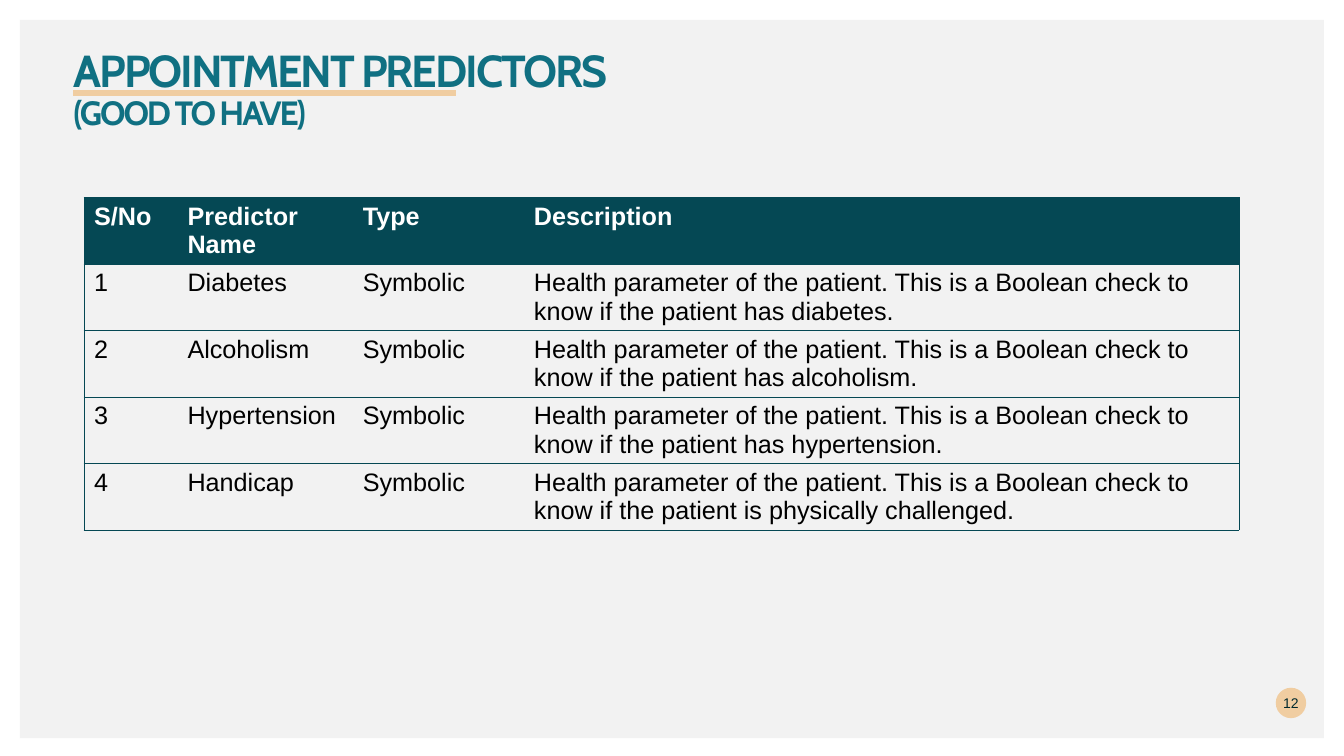
from copy import deepcopy
from lxml.etree import SubElement as Sub
from pptx import Presentation
from pptx.dml.color import RGBColor as RGB
from pptx.enum.shapes import MSO_CONNECTOR as Conn, MSO_SHAPE as Shape
from pptx.enum.text import MSO_ANCHOR as Anchor, MSO_AUTO_SIZE as Fit, PP_ALIGN as Align
from pptx.oxml.ns import qn
from pptx.util import Pt

PX = 9525
HUE = {"panel": "F2F2F2", "title": "107082", "sand": "F0CDA1", "dark": "054854",
       "head": "FFFFFF", "body": "000000", "page": "00292E"}
HEADS = ("S/No", "Predictor Name", "Type", "Description")
ITEMS = (("Diabetes", "has diabetes"), ("Alcoholism", "has alcoholism"),
         ("Hypertension", "has hypertension"), ("Handicap", "is physically challenged"))
INTRO = "Health parameter of the patient. This is a Boolean check to know if the patient"
COLS = (89, 167, 163, 681)


def emu(*vals):
    """Turn px lengths into EMU."""
    return [val * PX for val in vals]


def style(font, name, size, hue, bold=False):
    """Set the face, size, colour and weight of a font."""
    font.name, font.size, font.bold = name, Pt(size), bold
    font.color.rgb = RGB.from_string(HUE[hue])


def block(slide, kind, box, hue):
    """Add a plain filled shape."""
    shape = slide.shapes.add_shape(kind, *emu(*box))
    shape.shadow.inherit = False
    shape.fill.solid()
    shape.fill.fore_color.rgb = RGB.from_string(HUE[hue])
    shape.line.fill.background()
    return shape


def trim(frame):
    """Clear the insets of a text frame."""
    frame.margin_left = frame.margin_right = frame.margin_top = frame.margin_bottom = 0


def panel(slide, box):
    """Lay the grey panel behind everything else."""
    shape = block(slide, Shape.RECTANGLE, box, "panel")
    slide.shapes._spTree.insert(2, shape._element)


def heading(slide, box):
    """Fill the title and underline its first line."""
    x, y, w, h = box
    title = slide.shapes.title
    title.left, title.top, title.width, title.height = emu(*box)
    frame = title.text_frame
    trim(frame)
    frame.word_wrap, frame.auto_size = True, Fit.NONE
    frame.vertical_anchor = Anchor.TOP
    frame.text = "APPOINTMENT PREDICTORS\v(GOOD TO HAVE)"
    para = frame.paragraphs[0]
    para.alignment, para.line_spacing = Align.LEFT, 0.9
    for run, size in zip(para.runs, (32, 24)):
        style(run.font, "Cabin", size, "title", True)
        run._r.get_or_add_rPr().set("spc", "-150")
    gap = para._p.find(qn("a:br"))
    gap.insert(0, deepcopy(para.runs[0]._r.get_or_add_rPr()))
    rule = slide.shapes.add_connector(Conn.STRAIGHT, *emu(x, y + h + 5, x + 364, y + h + 5))
    rule.line.color.rgb = RGB.from_string(HUE["sand"])
    rule.line.width = Pt(4.32)
    Sub(rule._element.spPr, qn("a:effectLst"))


def edge(cell, sides):
    """Draw the named sides of a cell and clear the others."""
    props = cell._tc.get_or_add_tcPr()
    for side in "LRTB":
        line = Sub(props, qn(f"a:ln{side}"), w=str(Pt(0.5)))
        if side in sides:
            Sub(Sub(line, qn("a:solidFill")), qn("a:srgbClr"), val=HUE["dark"])
        else:
            Sub(line, qn("a:noFill"))


def grid(slide, box):
    """Add the table of predictors."""
    rows = [HEADS] + [(str(num), name, "Symbolic", f"{INTRO} {end}.")
                      for num, (name, end) in enumerate(ITEMS, 1)]
    table = slide.shapes.add_table(len(rows), len(COLS), *emu(*box)).table
    table.horz_banding = False
    for col, wide in zip(table.columns, COLS):
        col.width = wide * PX
    for r, row in enumerate(rows):
        table.rows[r].height = box[3] // len(rows) * PX
        for c, text in enumerate(row):
            cell = table.cell(r, c)
            edge(cell, "TB" + "L" * (c == 0) + "R" * (c == len(COLS) - 1))
            if r:
                cell.fill.background()
            else:
                cell.fill.solid()
                cell.fill.fore_color.rgb = RGB.from_string(HUE["dark"])
            cell.text_frame.text = text
            font = cell.text_frame.paragraphs[0].runs[0].font
            style(font, "Arial", 18, "body" if r else "head", not r)


def badge(slide, box):
    """Add the round page number."""
    frame = block(slide, Shape.OVAL, box, "sand").text_frame
    trim(frame)
    frame.vertical_anchor = Anchor.MIDDLE
    frame.text = "12"
    para = frame.paragraphs[0]
    para.alignment = Align.CENTER
    style(para.runs[0].font, "Arial", 10, "page")


def main():
    """Build and save the slide."""
    deck = Presentation()
    deck.slide_width, deck.slide_height = emu(1280, 720)
    slide = deck.slides.add_slide(deck.slide_layouts[5])
    panel(slide, (19, 19, 1242, 684))
    heading(slide, (70, 46, 794, 38))
    grid(slide, (80, 188, sum(COLS), 315))
    badge(slide, (1215, 655, 29, 29))
    deck.save("out.pptx")


if __name__ == "__main__":
    main()
